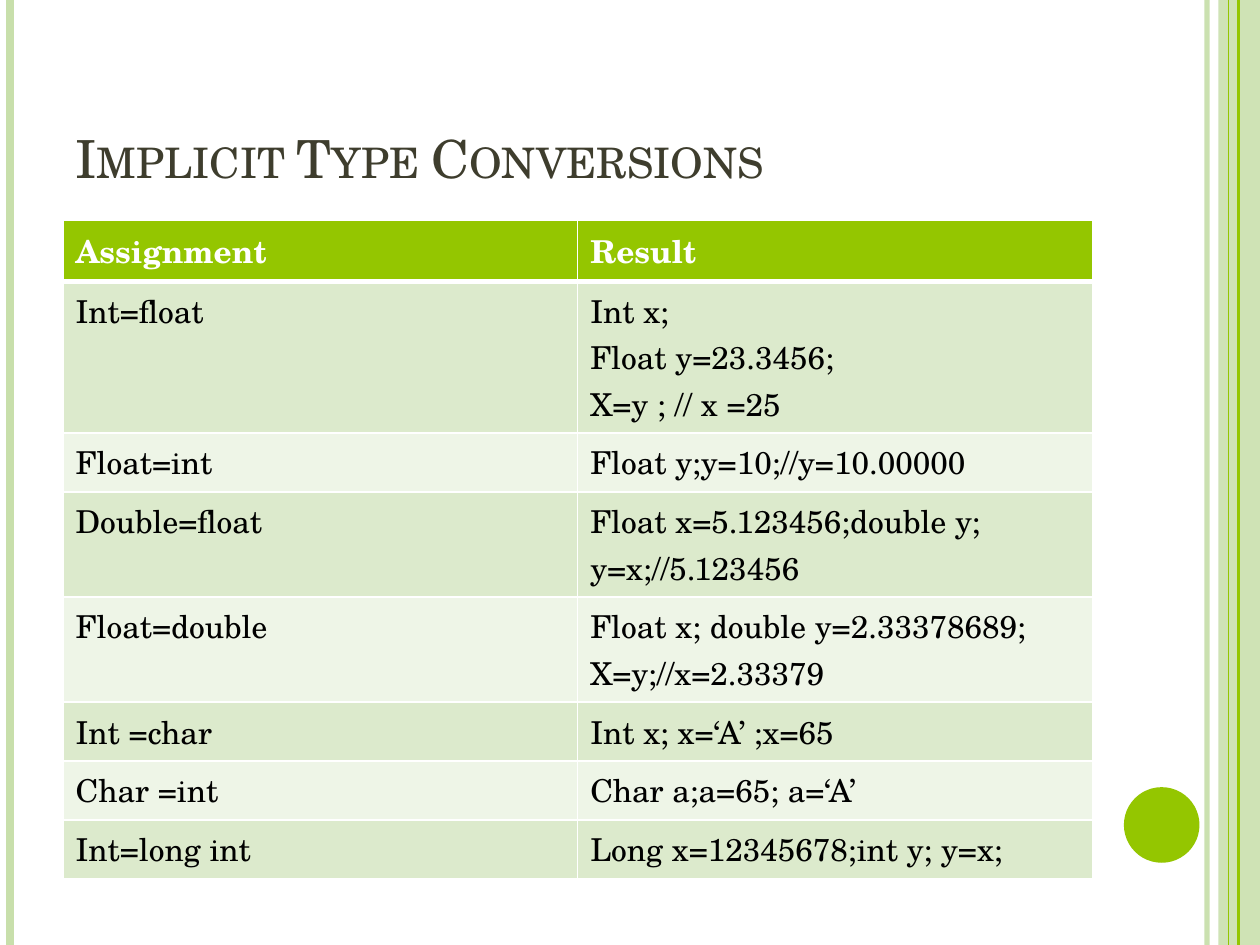
from lxml.etree import SubElement
from pptx import Presentation
from pptx.dml.color import RGBColor
from pptx.enum.shapes import MSO_CONNECTOR, MSO_SHAPE
from pptx.enum.text import MSO_ANCHOR, PP_ALIGN
from pptx.oxml.ns import qn
from pptx.util import Inches, Pt

WIDTH, HEIGHT = Inches(10), Inches(7.5)
FONT = "TeX Gyre Schola"
GREEN, PALE, WHITE, BLACK = "94C600", "C8DFAB", "FFFFFF", "000000"
BANDS = ("DCEACC", "EEF5E7")
TITLE_BOX = (0.05, 0.04, 0.817, 0.167)  # shares of the slide
TABLE_BOX = (0.05, 0.233, 0.817, 0.437)
DOT_BOX = (0.892, 0.833, 0.06, 0.08)
STRIPE_BOX = (0.967, 0, 0.033, 1)
# share of the slide's width, colour, points, opacity in percent
RULES = [
    (0.958, PALE, 3, 93),
    (0.008, PALE, 4.5, 100),
    (0.983, GREEN, 1.5, 100),
    (0.975, GREEN, 0.75, 100),
]
CONVERSIONS = [
    ("Assignment", "Result"),
    ("Int=float", "Int x;\nFloat y=23.3456;\nX=y ; // x =25"),
    ("Float=int", "Float y;y=10;//y=10.00000"),
    ("Double=float", "Float x=5.123456;double y;\ny=x;//5.123456"),
    ("Float=double", "Float x; double y=2.33378689;\nX=y;//x=2.33379"),
    ("Int =char", "Int x; x=‘A’ ;x=65"),
    ("Char =int", "Char a;a=65; a=‘A’"),
    ("Int=long int", "Long x=12345678;int y; y=x;"),
]


def color(hex_text):
    return RGBColor.from_string(hex_text)


def place(box):
    """Turn shares of the slide into left, top, width and height."""
    return [round(share * side) for share, side in zip(box, (WIDTH, HEIGHT) * 2)]


def apply_format(target, values):
    for name, value in values.items():
        setattr(target, name, value)


def format_font(font, hex_text, **values):
    apply_format(font, {"name": FONT, **values})
    font.color.rgb = color(hex_text)


def set_opacity(properties, percent):
    if percent < 100:
        for tint in properties.iter(qn("a:srgbClr")):
            SubElement(tint, qn("a:alpha"), val=str(percent * 1000))


def add_solid(slide, kind, box, hex_text, opacity=100):
    solid = slide.shapes.add_shape(kind, *place(box))
    solid.shadow.inherit = False
    solid.fill.solid()
    solid.fill.fore_color.rgb = color(hex_text)
    solid.line.fill.background()
    set_opacity(solid.fill._xPr, opacity)


def add_rule(slide, share, hex_text, points, opacity):
    x = round(WIDTH * share)
    rule = slide.shapes.add_connector(MSO_CONNECTOR.STRAIGHT, x, 0, x, HEIGHT)
    rule.line.color.rgb = color(hex_text)
    rule.line.width = Pt(points)
    properties = rule._element.spPr
    set_opacity(properties, opacity)
    SubElement(properties, qn("a:effectLst"))


def add_decoration(slide):
    add_solid(slide, MSO_SHAPE.RECTANGLE, STRIPE_BOX, PALE, 87)
    for rule in RULES:
        add_rule(slide, *rule)
    add_solid(slide, MSO_SHAPE.OVAL, DOT_BOX, GREEN)


def fill_title(slide, box, text):
    title = slide.shapes.title
    apply_format(title, dict(zip(("left", "top", "width", "height"), place(box))))
    frame = title.text_frame
    apply_format(frame, {"text": text, "word_wrap": True,
                         "vertical_anchor": MSO_ANCHOR.BOTTOM})
    paragraph = frame.paragraphs[0]
    paragraph.alignment = PP_ALIGN.LEFT
    run = paragraph.runs[0]
    format_font(run.font, "3E3D2D", size=Pt(30))
    run.font._element.set("cap", "small")


def add_borders(cell, **points):
    properties = cell._tc.get_or_add_tcPr()
    for side, width in points.items():
        border = SubElement(properties, qn(f"a:ln{side}"), w=str(Pt(width)))
        paint = SubElement(border, qn("a:solidFill"))
        SubElement(paint, qn("a:srgbClr"), val=WHITE)


def add_conversions(slide, box, rows):
    left, top, width, height = place(box)
    table = slide.shapes.add_table(len(rows), len(rows[0]), left, top, width, height).table
    for row, texts in enumerate(rows):
        table.rows[row].height = Inches(0.41)
        header = row == 0
        for column, text in enumerate(texts):
            cell = table.cell(row, column)
            cell.text = text
            add_borders(cell, L=1, R=1, T=3 if row == 1 else 1, B=3 if header else 1)
            cell.fill.solid()
            cell.fill.fore_color.rgb = color(GREEN if header else BANDS[(row - 1) % 2])
            for paragraph in cell.text_frame.paragraphs:
                format_font(paragraph.runs[0].font, WHITE if header else BLACK,
                            size=Pt(18), bold=header)


def main():
    deck = Presentation()
    apply_format(deck, {"slide_width": WIDTH, "slide_height": HEIGHT})
    slide = deck.slides.add_slide(deck.slide_layouts.get_by_name("Title Only"))
    add_decoration(slide)
    fill_title(slide, TITLE_BOX, "Implicit Type Conversions")
    add_conversions(slide, TABLE_BOX, CONVERSIONS)
    deck.save("out.pptx")


if __name__ == "__main__":
    main()
